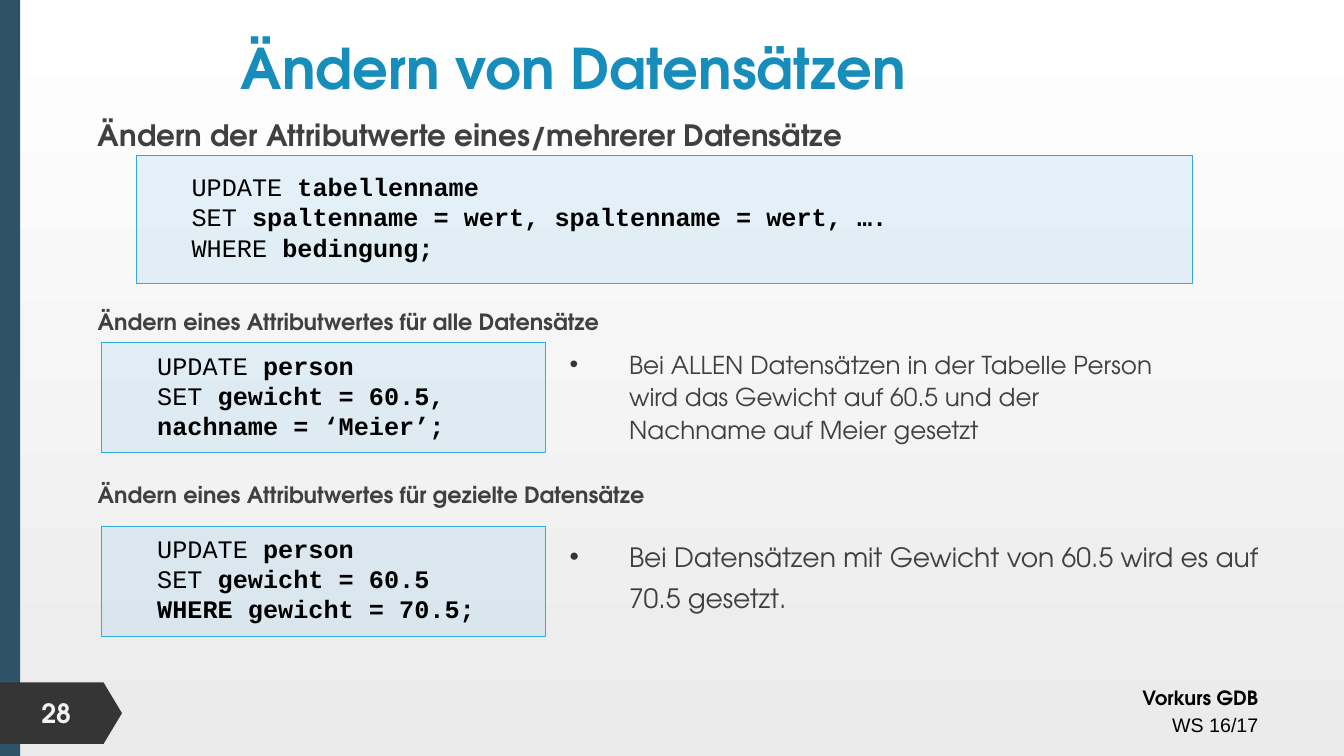
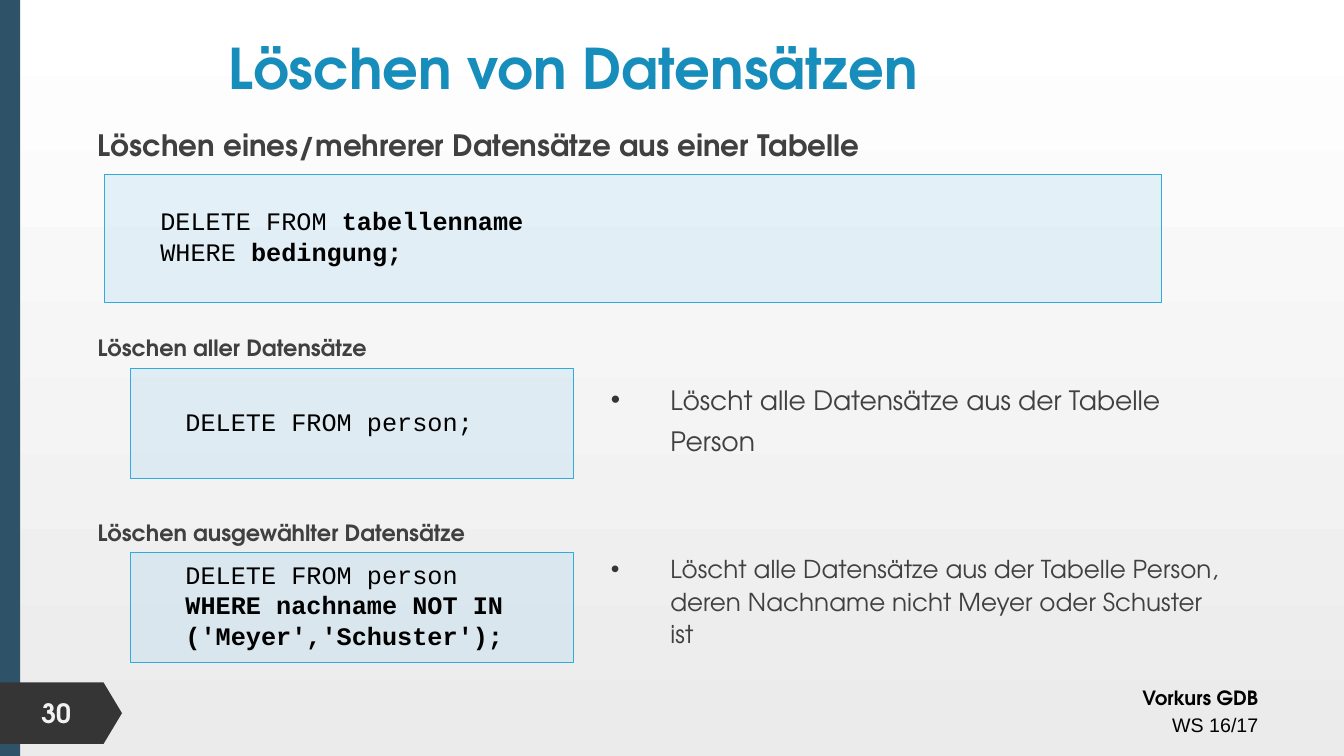
import pptx
import pptx.util
import pptx.dml.color
import pptx.enum.shapes
import pptx.enum.text
import pptx.oxml.ns
from lxml import etree

Inches = pptx.util.Inches
Pt = pptx.util.Pt
RGBColor = pptx.dml.color.RGBColor
SHAPES = pptx.enum.shapes.MSO_SHAPE
ALIGN = pptx.enum.text.PP_ALIGN
MIDDLE = pptx.enum.text.MSO_ANCHOR.MIDDLE
qn = pptx.oxml.ns.qn

WHITE = RGBColor(0xFF, 0xFF, 0xFF)
PALE_GREY = RGBColor(0xEB, 0xEB, 0xEB)
BAR_BLUE = RGBColor(0x2E, 0x53, 0x69)
TITLE_BLUE = RGBColor(0x17, 0x8D, 0xBB)
CODE_FILL = RGBColor(0xA8, 0xD5, 0xF0)
CODE_LINE = RGBColor(0x2F, 0xAC, 0xDC)
BADGE_GREY = RGBColor(0x35, 0x35, 0x35)
BADGE_TEXT = RGBColor(0xF2, 0xF2, 0xF2)
TEXT_GREY = RGBColor(0x40, 0x40, 0x40)
BLACK = RGBColor(0, 0, 0)
SANS = "TeX Gyre Adventor"
MONO = "Courier New"
WIDE_CODE = (10.48, 1.27)
SMALL_CODE = (4.4, 1.09)

LESSONS = [
    {
        "number": "28",
        "title": "Ändern von Datensätzen",
        "headings": [
            (1.34, 21, "Ändern der Attributwerte eines/mehrerer Datensätze"),
            (3.19, 16, "Ändern eines Attributwertes für alle Datensätze"),
            (4.91, 16, "Ändern eines Attributwertes für gezielte Datensätze"),
        ],
        "statements": [
            (1.35, 1.54, WIDE_CODE, [
                ("UPDATE ", "tabellenname"),
                ("SET ", "spaltenname = wert, spaltenname = wert, …."),
                ("WHERE ", "bedingung;"),
            ]),
            (1.01, 3.4, SMALL_CODE, [
                ("UPDATE ", "person"),
                ("SET ", "gewicht = 60.5, nachname = ‘Meier’;"),
            ]),
            (1.01, 5.22, SMALL_CODE, [
                ("UPDATE ", "person"),
                ("SET ", "gewicht = 60.5"),
                ("", "WHERE gewicht = 70.5;"),
            ]),
        ],
        "explanations": [
            (5.55, 3.39, 6.28, 17.6, 1.1,
             "Bei ALLEN Datensätzen in der Tabelle Person wird das Gewicht "
             "auf 60.5 und der Nachname auf Meier gesetzt"),
            (5.55, 5.22, 7.08, 19, 1.3,
             "Bei Datensätzen mit Gewicht von 60.5 wird es auf 70.5 gesetzt."),
        ],
    },
    {
        "number": "30",
        "title": "Löschen von Datensätzen",
        "headings": [
            (1.44, 21, "Löschen eines/mehrerer Datensätze aus einer Tabelle"),
            (3.45, 16, "Löschen aller Datensätze"),
            (5.28, 16, "Löschen ausgewählter Datensätze"),
        ],
        "statements": [
            (1.04, 1.73, WIDE_CODE, [
                ("DELETE FROM ", "tabellenname"),
                ("WHERE ", "bedingung;"),
            ]),
            (1.29, 3.66, SMALL_CODE, [("DELETE FROM person;", "")]),
            (1.29, 5.48, SMALL_CODE, [
                ("DELETE FROM person", ""),
                ("", "WHERE nachname NOT IN ('Meyer','Schuster');"),
            ]),
        ],
        "explanations": [
            (5.96, 3.66, 6.28, 19, 1.3,
             "Löscht alle Datensätze aus der Tabelle Person"),
            (5.96, 5.42, 6.28, 17.6, 1.1,
             "Löscht alle Datensätze aus der Tabelle Person, deren Nachname "
             "nicht Meyer oder Schuster ist"),
        ],
    },
]


def add_run(paragraph, text, size, color, bold=False, font=SANS):
    run = paragraph.add_run()
    run.text = text
    run.font.name = font
    run.font.size = Pt(size)
    run.font.bold = bold
    run.font.color.rgb = color


def add_panel(slide, preset, left, top, width, height, color):
    panel = slide.shapes.add_shape(
        preset, Inches(left), Inches(top), Inches(width), Inches(height))
    panel.shadow.inherit = False
    panel.fill.solid()
    panel.fill.fore_color.rgb = color
    panel.line.fill.background()
    panel.text_frame.vertical_anchor = MIDDLE
    return panel


prs = pptx.Presentation()
prs.slide_width = Inches(13.33)
prs.slide_height = Inches(7.5)

backdrop = prs.slide_master.background.fill
backdrop.gradient()
backdrop.gradient_angle = 270
for stop, color in zip(backdrop.gradient_stops, (WHITE, PALE_GREY)):
    stop.color.rgb = color

for lesson in LESSONS:
    slide = prs.slides.add_slide(prs.slide_layouts[5])

    add_panel(slide, SHAPES.RECTANGLE, 0, 0, 0.2, 7.5, BAR_BLUE)

    badge = add_panel(slide, SHAPES.PENTAGON, 0, 6.77, 1.21, 0.61, BADGE_GREY)
    badge.adjustments[0] = 0.3
    badge.text_frame.margin_left = Inches(0.41)
    badge.text_frame.margin_right = 0
    badge.text_frame.word_wrap = False
    number = badge.text_frame.paragraphs[0]
    number.alignment = ALIGN.LEFT
    add_run(number, lesson["number"], 19, BADGE_TEXT, True)

    footer = slide.shapes.add_textbox(
        Inches(7.38), Inches(6.72), Inches(5.2), Inches(0.64)).text_frame
    footer.word_wrap = True
    course = footer.paragraphs[0]
    term = footer.add_paragraph()
    add_run(course, "Vorkurs GDB", 14, BLACK, True)
    add_run(term, "WS 16/17", 14, BLACK, font="Arial")
    for line in (course, term):
        line.alignment = ALIGN.RIGHT
        line.line_spacing = 1.14

    title = slide.shapes.title
    title.left, title.top = Inches(1.2), Inches(0.26)
    title.width, title.height = Inches(8.97), Inches(0.81)
    title.text_frame.auto_size = pptx.enum.text.MSO_AUTO_SIZE.NONE
    title.text_frame.vertical_anchor = MIDDLE
    title.text_frame.paragraphs[0].alignment = ALIGN.CENTER
    add_run(title.text_frame.paragraphs[0], lesson["title"], 40, TITLE_BLUE, True)

    for center, size, text in lesson["headings"]:
        heading = slide.shapes.add_textbox(
            Inches(0.87), Inches(center - 0.25), Inches(11.95), Inches(0.5)).text_frame
        heading.word_wrap = True
        heading.vertical_anchor = MIDDLE
        add_run(heading.paragraphs[0], text, size, TEXT_GREY, True)

    for left, top, (width, height), lines in lesson["statements"]:
        statement = add_panel(
            slide, SHAPES.RECTANGLE, left, top, width, height, CODE_FILL)
        tint = statement.element.spPr.find(".//" + qn("a:srgbClr"))
        etree.SubElement(tint, qn("a:alpha"), val="27000")
        statement.line.color.rgb = CODE_LINE
        statement.line.width = Pt(0.75)
        code = statement.text_frame
        code.word_wrap = True
        code.margin_left, code.margin_right = Inches(0.55), Inches(0.1)
        code.margin_top, code.margin_bottom = 0, Inches(0.05)
        for index, parts in enumerate(lines):
            line = code.add_paragraph() if index else code.paragraphs[0]
            line.alignment = ALIGN.LEFT
            for part, bold in zip(parts, (False, True)):
                if part:
                    add_run(line, part, 18, BLACK, bold, MONO)

    for left, top, width, size, spacing, text in lesson["explanations"]:
        explanation = slide.shapes.add_textbox(
            Inches(left), Inches(top), Inches(width), Inches(1.09)).text_frame
        explanation.word_wrap = True
        point = explanation.paragraphs[0]
        point.line_spacing = spacing
        add_run(point, text, size, TEXT_GREY)
        properties = point._p.get_or_add_pPr()
        properties.set("marL", str(Inches(0.59)))
        properties.set("indent", str(-Inches(0.59)))
        bullet_color = etree.SubElement(properties, qn("a:buClr"))
        etree.SubElement(bullet_color, qn("a:srgbClr"), val=str(BADGE_GREY))
        etree.SubElement(properties, qn("a:buFont"), typeface="Arial")
        etree.SubElement(properties, qn("a:buChar"), char="•")

prs.save("out.pptx")
